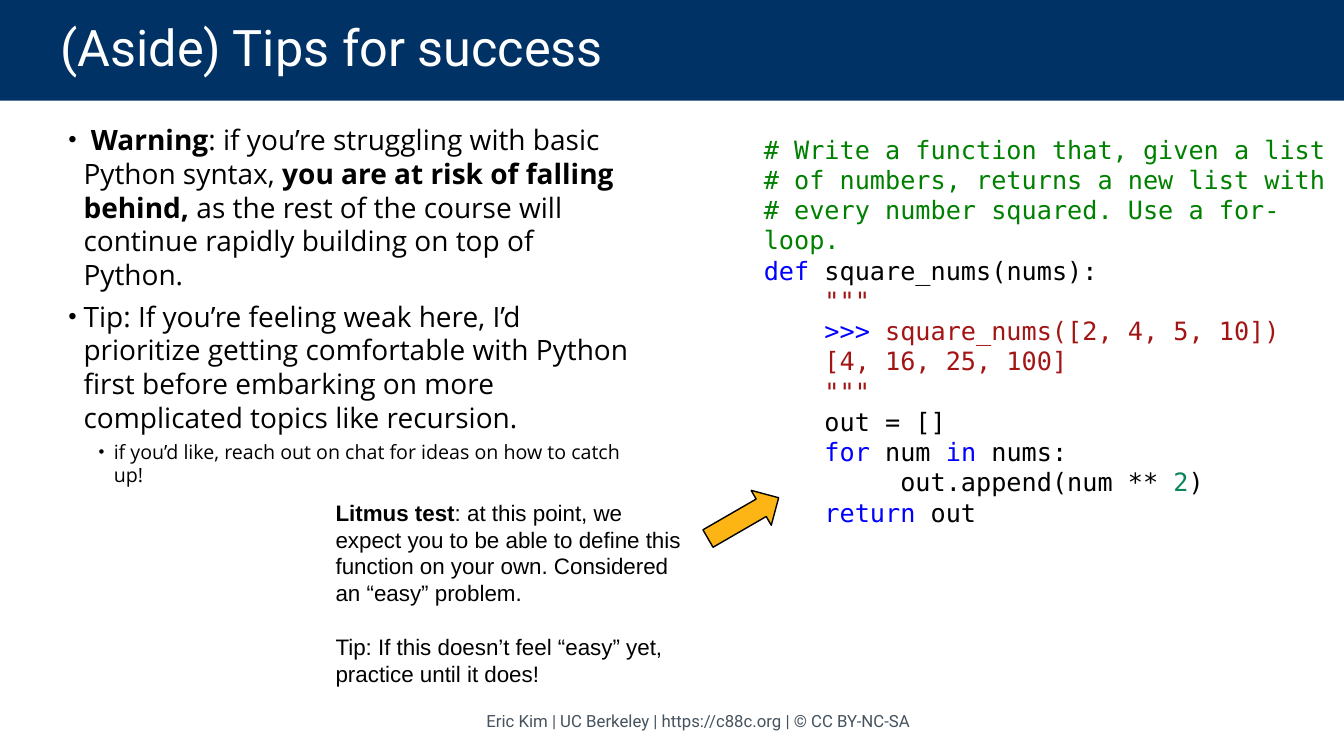
from lxml import etree
from pptx import Presentation
from pptx.dml.color import RGBColor
from pptx.enum import shapes, text
from pptx.oxml import ns
from pptx.util import Pt

WHITE = RGBColor(0xFF, 0xFF, 0xFF)
BLACK = RGBColor(0, 0, 0)
NAVY = RGBColor(0x00, 0x32, 0x65)
GOLD = RGBColor(0xFC, 0xB5, 0x15)
SLATE = RGBColor(0x46, 0x53, 0x5E)
COMMENT = RGBColor(0x00, 0x80, 0x00)
KEYWORD = RGBColor(0x00, 0x00, 0xFF)
STRING = RGBColor(0xA3, 0x15, 0x15)
NUMBER = RGBColor(0x09, 0x86, 0x58)

TIPS = [
    (20, 10.8, 0, [
        (" ", False),
        ("Warning", True),
        (": if you’re struggling with basic Python syntax, ", False),
        ("you are at risk of falling behind,", True),
        (" as the rest of the course will continue rapidly building on top of Python.", False),
    ]),
    (20, 10.8, 6, [
        ("Tip: If you’re feeling weak here, I’d prioritize getting comfortable with "
         "Python first before embarking on more complicated topics like recursion.", False),
    ]),
    (14, 32.4, 4.2, [
        ("if you’d like, reach out on chat for ideas on how to catch up!", False),
    ]),
]

CODE = [
    [("# Write a function that, given a list", COMMENT)],
    [("# of numbers, returns a new list with", COMMENT)],
    [("# every number squared. Use a for-loop.", COMMENT)],
    [("def", KEYWORD), (" square_nums(nums):", BLACK)],
    [('    """', STRING)],
    [("    >>> ", KEYWORD), ("square_nums([2, 4, 5, 10])", STRING)],
    [("    [4, 16, 25, 100]", STRING)],
    [('    """', STRING)],
    [("    out = []", BLACK)],
    [("    for", KEYWORD), (" num ", BLACK), ("in", KEYWORD), (" nums:", BLACK)],
    [("         out.append(num ** ", BLACK), ("2", NUMBER), (")", BLACK)],
    [("    return", KEYWORD), (" out", BLACK)],
]

LITMUS = [
    (0, [
        ("Litmus test", True),
        (": at this point, we expect you to be able to define this function on your own. "
         "Considered an “easy” problem.", False),
    ]),
    (19, [("Tip: If this doesn’t feel “easy” yet, practice until it does!", False)]),
]


class SlideBuilder:
    def __init__(self, presentation):
        self.slide = presentation.slides.add_slide(presentation.slide_layouts[6])
        self.title_font = "Roboto"
        self.body_font = "Open Sans"
        self.code_font = "DejaVu Sans Mono"
        self.note_font = "Arial"

    def preset(self, kind, box, fill):
        shape = self.slide.shapes.add_shape(kind, *map(Pt, box))
        shape.shadow.inherit = False
        shape.fill.solid()
        shape.fill.fore_color.rgb = fill
        return shape

    def text_frame(self, box):
        frame = self.slide.shapes.add_textbox(*map(Pt, box)).text_frame
        frame.word_wrap = True
        return frame

    def paragraph(self, frame, index):
        return frame.add_paragraph() if index else frame.paragraphs[0]

    def style(self, paragraph, name, size, color=None):
        paragraph.font.name = name
        paragraph.font.size = Pt(size)
        if color is not None:
            paragraph.font.color.rgb = color

    def weighted_runs(self, paragraph, runs):
        for content, bold in runs:
            run = paragraph.add_run()
            run.text = content
            run.font.bold = bold

    def bullet(self, paragraph, indent):
        properties = paragraph._p.get_or_add_pPr()
        properties.set("marL", str(Pt(indent)))
        properties.set("indent", str(Pt(-10.8)))
        etree.SubElement(properties, ns.qn("a:buSzPct")).set("val", "85000")
        etree.SubElement(properties, ns.qn("a:buFont")).set("typeface", "Arial")
        etree.SubElement(properties, ns.qn("a:buChar")).set("char", "•")

    def title(self, content, box):
        banner = self.preset(shapes.MSO_SHAPE.RECTANGLE, box, NAVY)
        banner.line.fill.background()
        frame = banner.text_frame
        frame.word_wrap = True
        frame.vertical_anchor = text.MSO_ANCHOR.MIDDLE
        frame.margin_left, frame.margin_right = Pt(43.2), Pt(72)
        paragraph = frame.paragraphs[0]
        paragraph.text = content
        paragraph.alignment = text.PP_ALIGN.LEFT
        paragraph.line_spacing = 0.9
        self.style(paragraph, self.title_font, 36, WHITE)

    def bullets(self, items, box):
        frame = self.text_frame(box)
        for index, (size, indent, gap, runs) in enumerate(items):
            paragraph = self.paragraph(frame, index)
            self.bullet(paragraph, indent)
            paragraph.level = int(size < 20)
            paragraph.space_before = Pt(gap)
            self.weighted_runs(paragraph, runs)
            self.style(paragraph, self.body_font, size, BLACK)

    def code(self, lines, box):
        frame = self.text_frame(box)
        for index, runs in enumerate(lines):
            paragraph = self.paragraph(frame, index)
            for content, color in runs:
                run = paragraph.add_run()
                run.text = content
                run.font.color.rgb = color
            self.style(paragraph, self.code_font, 18)

    def note(self, items, box):
        frame = self.text_frame(box)
        for index, (gap, runs) in enumerate(items):
            paragraph = self.paragraph(frame, index)
            paragraph.space_before = Pt(gap)
            self.weighted_runs(paragraph, runs)
            self.style(paragraph, self.note_font, 16, BLACK)

    def arrow(self, box, rotation):
        arrow = self.preset(shapes.MSO_SHAPE.RIGHT_ARROW, box, GOLD)
        arrow.line.color.rgb = BLACK
        arrow.line.width = Pt(1)
        arrow.rotation = rotation

    def footer(self, content, box):
        frame = self.text_frame(box)
        frame.vertical_anchor = text.MSO_ANCHOR.MIDDLE
        paragraph = frame.paragraphs[0]
        paragraph.text = content
        paragraph.alignment = text.PP_ALIGN.CENTER
        self.style(paragraph, self.title_font, 12, SLATE)


def main():
    presentation = Presentation()
    presentation.slide_width, presentation.slide_height = Pt(960), Pt(540)
    builder = SlideBuilder(presentation)
    builder.title("(Aside) Tips for success", (0, 0, 960, 72))
    builder.bullets(TIPS, (41.8, 84.2, 414.7, 414))
    builder.footer("Eric Kim | UC Berkeley | https://c88c.org | © CC BY-NC-SA",
                   (318.2, 500.4, 361.4, 28.8))
    builder.code(CODE, (538.5, 92.2, 429.1, 290.9))
    builder.arrow((501.8, 355.7, 58.3, 28.8), 330)
    builder.note(LITMUS, (232.6, 352.8, 265.7, 143.3))
    presentation.save("out.pptx")


if __name__ == "__main__":
    main()
